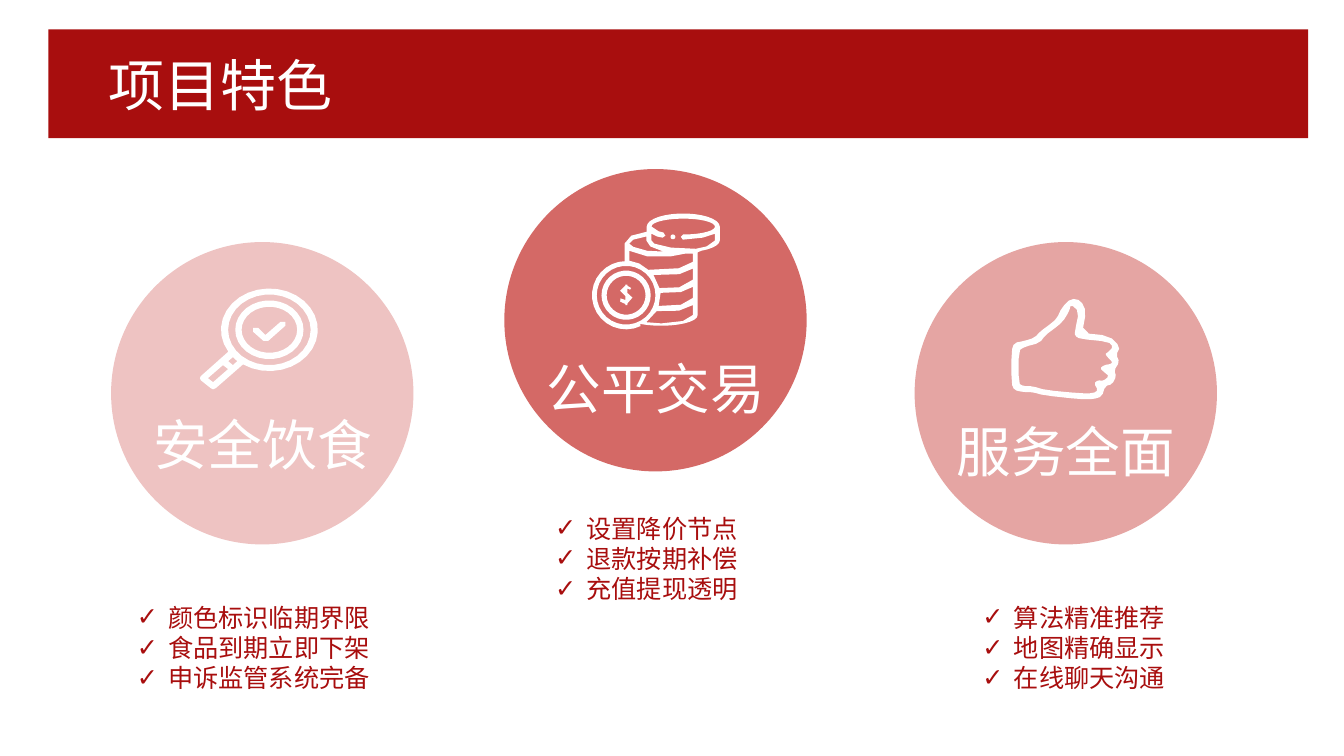
from dataclasses import dataclass
from math import cos, radians, sin

from lxml import etree
from pptx import Presentation
from pptx.dml.color import RGBColor
from pptx.enum import shapes, text
from pptx.oxml import ns
from pptx.util import Cm, Pt


@dataclass(frozen=True)
class Theme:
    red: str = "A80E0E"
    white: str = "FFFFFF"
    pale: str = "EEC3C2"
    strong: str = "D46966"
    medium: str = "E5A5A3"
    title_font: str = "Arial Narrow"
    label_font: str = "Noto Sans CJK SC"
    list_font: str = "Roboto"
    title_size: int = 40
    label_size: int = 39
    list_size: int = 18


THEME = Theme()
DIAMETER = 7.62


def write(p, content, *, font, size, color, align=None, spacing=None):
    r = p.add_run()
    r.text = content
    r.font.name, r.font.size = font, Pt(size)
    r.font.color.rgb = RGBColor.from_string(color)
    ea = etree.SubElement(r.font._element, ns.qn("a:ea"))
    ea.set("typeface", THEME.label_font)
    if align is not None:
        p.alignment = align
    if spacing:
        p.line_spacing = spacing


def add_check_bullet(p):
    pPr = p._p.get_or_add_pPr()
    pPr.set("marL", str(Cm(0.79)))
    pPr.set("indent", str(-Cm(0.79)))
    etree.SubElement(pPr, ns.qn("a:buFont")).set("typeface", THEME.list_font)
    etree.SubElement(pPr, ns.qn("a:buChar")).set("char", "✓")


def arc(cx, cy, rx, ry, start=0, end=360):
    """Points on an ellipse; angles in degrees, clockwise from the right."""
    steps = max(4, round(abs(end - start) / 12))
    angles = [radians(start + (end - start) * i / steps) for i in range(steps + 1)]
    return [(cx + rx * cos(a), cy + ry * sin(a)) for a in angles]


def rounded(points):
    """Closed outline with every corner cut at a quarter of its sides."""
    cut = []
    for (x0, y0), (x1, y1) in zip(points, points[1:] + points[:1]):
        cut += [(x0 + (x1 - x0) * t, y0 + (y1 - y0) * t) for t in (0.25, 0.75)]
    return cut


# Icon outlines in cm from the circle's corner; nested outlines are holes.
def magnifier():
    lens = [arc(3.99, 2.21, rx, ry) for rx, ry in ((1.04, 0.89), (0.86, 0.74), (0.7, 0.58))]
    rim = arc(3.99, 2.21, 1.22, 1.04, 148, 483) + [
        (2.64, 3.68), (2.57, 3.71), (2.51, 3.68), (2.26, 3.48), (2.24, 3.43), (2.26, 3.38)]
    grip = [(2.57, 3.53), (2.44, 3.43), (2.82, 3.1), (2.95, 3.2)]
    neck = [(3.07, 3.1), (2.95, 3), (3.07, 2.9), (3.18, 3)]
    check = [(4.39, 2.01), (4.39, 2.11), (3.96, 2.49), (3.84, 2.49), (3.58, 2.26),
             (3.58, 2.16), (3.71, 2.16), (3.89, 2.34), (4.27, 2.01)]
    return [rim, *lens, grip, neck, check]


def coins():
    silhouette = (
        arc(3.95, 3.69, 0.92, 0.26, 125, 0) + [(4.87, 2.1)]
        + arc(4.51, 1.8, 0.92, 0.3, 60, 0) + arc(4.51, 1.45, 0.92, 0.33, 0, -180)
        + [(3.59, 1.58), (3.2, 1.68), (3.03, 1.88), (3.03, 2.31)]
        + arc(3.07, 3.18, 0.86, 0.86, 270, 65))
    top_coin = (
        [(3.71, 1.63), (3.85, 1.7), (3.99, 1.73), (4.06, 1.68), (4.01, 1.6), (3.89, 1.57)]
        + arc(4.51, 1.45, 0.8, 0.2, -180, 90)
        + [(4.45, 1.71), (4.5, 1.78), (5, 1.73), (5.31, 1.63), (5.31, 1.8),
           (5.1, 1.95), (4.83, 2.01), (4.2, 1.98), (3.78, 1.88), (3.71, 1.8)])
    stack = [
        [(3.58, 1.7), (3.58, 1.8), (3.68, 1.95), (4.01, 2.08), (3.6, 2.06),
         (3.25, 1.96), (3.15, 1.88), (3.25, 1.78)],
        [(3.15, 2.06), (3.6, 2.2), (4.2, 2.2), (4.57, 2.13), (4.75, 2.13), (4.75, 2.34),
         (4.4, 2.5), (3.63, 2.54), (3.4, 2.38), (3.15, 2.31)],
        [(4.75, 2.51), (4.41, 2.65), (3.76, 2.67), (3.91, 3), (4.41, 2.98), (4.75, 2.79)],
        [(4.75, 2.97), (4.45, 3.1), (3.94, 3.12), (3.89, 3.45), (4.45, 3.42), (4.75, 3.25)],
        [(4.75, 3.43), (4.4, 3.57), (3.84, 3.58), (3.58, 3.86), (3.96, 3.89),
         (4.5, 3.83), (4.75, 3.68)]]
    rings = [arc(3.07, 3.18, radius, radius) for radius in (0.74, 0.62, 0.49)]
    dollar = [
        (3.1, 3.43), (3.1, 3.39), (3.23, 3.24), (3.1, 3.12), (3.1, 3.01), (3.17, 3.04),
        (3.2, 3), (3.1, 2.94), (3.1, 2.91), (3.05, 2.91), (3.05, 2.94), (2.92, 3.07),
        (3.05, 3.2), (3.05, 3.3), (2.93, 3.26), (2.92, 3.34), (3.05, 3.4), (3.05, 3.43)]
    return [silhouette, top_coin, arc(4.25, 1.71, 0.06, 0.06), *stack, *rings, dollar]


def thumb():
    outside = [
        (3.58, 1.93), (3.4, 2.08), (3.18, 2.24), (3.02, 2.41), (2.77, 2.49), (2.51, 2.54),
        (2.44, 2.74), (2.44, 3.56), (2.51, 3.73), (2.74, 3.78), (2.97, 3.78), (3.25, 3.86),
        (4.17, 3.96), (4.5, 3.96), (4.72, 3.89), (4.8, 3.63), (4.98, 3.58), (5.08, 3.38),
        (5.03, 3.23), (5.16, 3.02), (5.08, 2.84), (5.18, 2.64), (4.9, 2.36), (4.22, 2.29),
        (4.32, 1.75), (4.19, 1.47), (3.94, 1.42), (3.71, 1.65)]
    inside = [
        (3.73, 2.01), (3.48, 2.21), (3.3, 2.34), (3.15, 2.54), (2.77, 2.64), (2.62, 2.74),
        (2.62, 3.56), (2.74, 3.63), (2.97, 3.63), (3.3, 3.73), (4.17, 3.81), (4.5, 3.81),
        (4.62, 3.73), (4.52, 3.56), (4.62, 3.48), (4.75, 3.5), (4.9, 3.38), (4.78, 3.28),
        (4.67, 3.18), (4.78, 3.1), (4.95, 3.07), (4.98, 3.02), (4.88, 2.92), (4.8, 2.82),
        (4.88, 2.77), (5, 2.64), (4.88, 2.51), (4.17, 2.44), (4.04, 2.36), (4.04, 2.24),
        (4.14, 1.75), (3.94, 1.57), (3.89, 1.75)]
    return [rounded(outside), rounded(inside)]


class Deck:
    def __init__(self, theme):
        self.theme = theme
        self.prs = Presentation()
        self.prs.slide_width, self.prs.slide_height = Cm(33.87), Cm(19.05)
        self.slide = self.prs.slides.add_slide(self.prs.slide_layouts[5])

    def paint(self, sp, color):
        sp.shadow.inherit = False
        sp.fill.solid()
        sp.fill.fore_color.rgb = RGBColor.from_string(color)
        sp.line.fill.background()

    def shape(self, kind, x, y, w, h, color):
        self.paint(self.slide.shapes.add_shape(kind, Cm(x), Cm(y), Cm(w), Cm(h)), color)

    def icon(self, outlines, x, y):
        fb = None
        for outline in outlines:
            start, *rest = [(Cm(x + px), Cm(y + py)) for px, py in outline]
            if fb is None:
                fb = self.slide.shapes.build_freeform(*start)
            else:
                fb.move_to(*start)
            fb.add_line_segments(rest, close=True)
        self.paint(fb.convert_to_shape(), self.theme.white)

    def title(self, content, x, y, w, h):
        sp = self.slide.shapes.title
        sp.left, sp.top, sp.width, sp.height = Cm(x), Cm(y), Cm(w), Cm(h)
        sp._element.getparent().append(sp._element)  # in front of the bar
        tf = sp.text_frame
        tf.vertical_anchor = text.MSO_ANCHOR.TOP
        tf.auto_size = text.MSO_AUTO_SIZE.NONE
        write(tf.paragraphs[0], content, font=self.theme.title_font,
              size=self.theme.title_size, color=self.theme.white, align=text.PP_ALIGN.LEFT)

    def text_box(self, x, y, w, h):
        tf = self.slide.shapes.add_textbox(Cm(x), Cm(y), Cm(w), Cm(h)).text_frame
        tf.word_wrap = True
        return tf

    def label(self, content, x, y, h):
        write(self.text_box(x, y, 8.89, h).paragraphs[0], content,
              font=self.theme.label_font, size=self.theme.label_size,
              color=self.theme.white, align=text.PP_ALIGN.CENTER, spacing=1.3)

    def check_list(self, items, x, y, w):
        tf = self.text_box(x, y, w, 2.57)
        for i, item in enumerate(items):
            p = tf.add_paragraph() if i else tf.paragraphs[0]
            add_check_bullet(p)
            write(p, item, font=self.theme.list_font,
                  size=self.theme.list_size, color=self.theme.red)


def main():
    deck = Deck(THEME)
    deck.shape(shapes.MSO_SHAPE.RECTANGLE, 1.22, 0.74, 31.75, 2.74, THEME.red)
    deck.title("项目特色", 2.49, 1.14, 30.48, 1.96)

    # circle corner, colour, icon, label, its top and height, list, its place
    features = [
        ((12.71, 4.26), THEME.strong, coins, "公平交易", (8.32, 2.11),
         ("设置降价节点", "退款按期补偿", "充值提现透明"), (13.74, 12.8, 16.94)),
        ((2.8, 6.1), THEME.pale, magnifier, "安全饮食", (9.73, 4.47),
         ("颜色标识临期界限", "食品到期立即下架", "申诉监管系统完备"), (3.2, 15.05, 7.7)),
        ((23.05, 6.1), THEME.medium, thumb, "服务全面", (9.91, 2.11),
         ("算法精准推荐", "地图精确显示", "在线聊天沟通"), (24.51, 15.05, 7.42)),
    ]
    for (x, y), color, outlines, label, (top, height), items, place in features:
        deck.shape(shapes.MSO_SHAPE.OVAL, x, y, DIAMETER, DIAMETER, color)
        deck.label(label, x - 0.63, top, height)
        deck.icon(outlines(), x, y)
        deck.check_list(items, *place)
    deck.prs.save("out.pptx")


if __name__ == "__main__":
    main()
